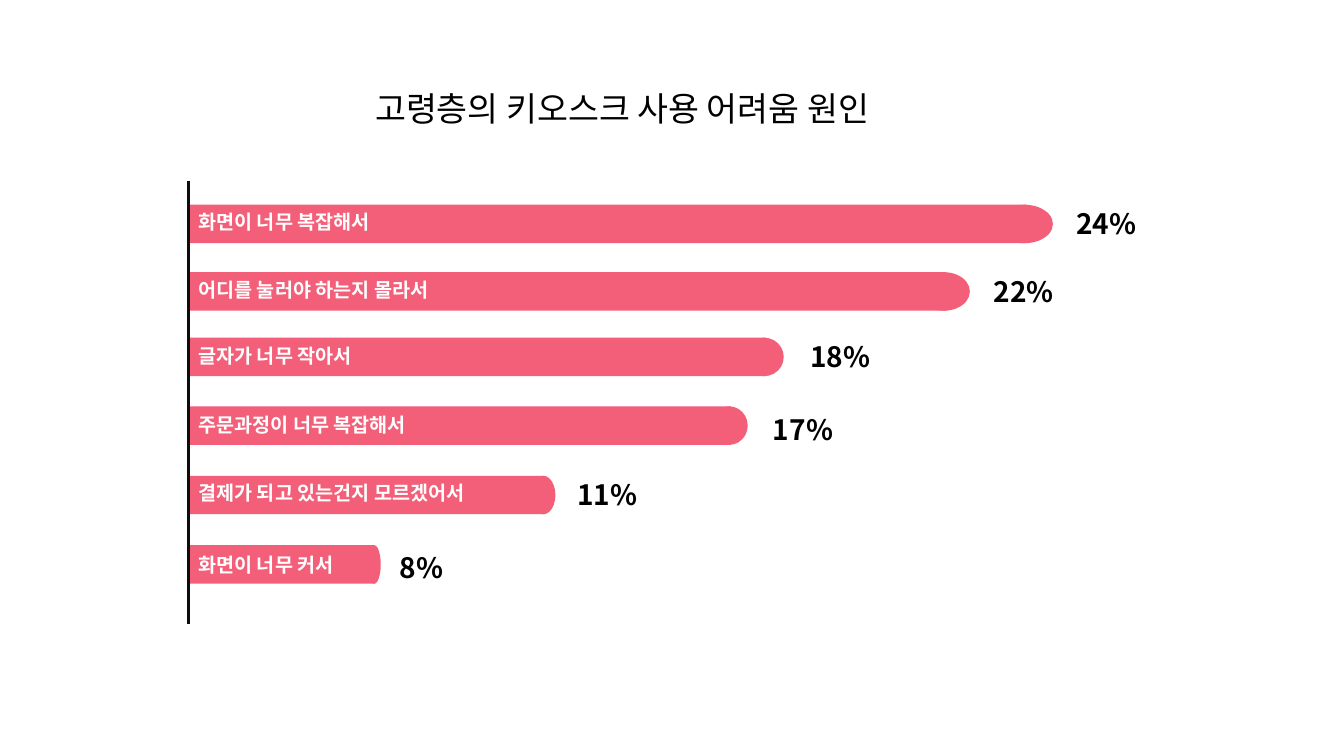
from lxml import etree
from pptx import Presentation
from pptx.dml.color import RGBColor
from pptx.enum import shapes, text
from pptx.oxml import ns
from pptx.util import Cm, Pt

FONT = "Noto Sans CJK KR"
AXIS_LEFT = 4.75
BAR_HEIGHT = 0.97
CAP_START, CAP_SHARE = 0.963, 0.068


def paint(color_format, value):
    color_format.rgb = RGBColor.from_string(value)


def write(holder, wording, size, color, bold=False):
    frame = holder.text_frame
    frame.text = wording
    frame.word_wrap = True
    frame.auto_size = text.MSO_AUTO_SIZE.NONE
    frame.vertical_anchor = text.MSO_ANCHOR.TOP
    frame.paragraphs[0].alignment = text.PP_ALIGN.LEFT
    frame.paragraphs[0].line_spacing = 1.0
    font = frame.paragraphs[0].runs[0].font
    font.name, font.size, font.bold = FONT, Pt(size), bold
    font.fill.solid()
    paint(font.fill.fore_color, color)
    etree.SubElement(font._element, ns.qn("a:ea"), typeface=FONT)


deck = Presentation()
deck.slide_width, deck.slide_height = Cm(33.87), Cm(19.05)
slide = deck.slides.add_slide(deck.slide_layouts[5])

headline = slide.shapes.title
headline.left, headline.top = Cm(9.2), Cm(2.08)
headline.width, headline.height = Cm(15.5), Cm(1.27)
write(headline, "고령층의 키오스크 사용 어려움 원인", 24, "000000")

# reason, share, bar top, bar length, reason top, share left, share top
reasons = [
    ("화면이 너무 복잡해서", "24%", 5.16, 21.13, 5.16, 26.87, 5.08),
    ("어디를 눌러야 하는지 몰라서", "22%", 6.86, 19.1, 6.88, 24.79, 6.78),
    ("글자가 너무 작아서", "18%", 8.51, 14.55, 8.53, 20.17, 8.43),
    ("주문과정이 너무 복잡해서", "17%", 10.24, 13.67, 10.29, 19.23, 10.26),
    ("결제가 되고 있는건지 모르겠어서", "11%", 11.99, 8.97, 11.99, 14.3, 11.91),
    ("화면이 너무 커서", "8%", 13.74, 4.7, 13.82, 9.83, 13.74),
]

for reason, share, bar_top, length, reason_top, share_left, share_top in reasons:
    bar = slide.shapes.add_group_shape()
    for outline, left, width in (
        (shapes.MSO_SHAPE.RECTANGLE, AXIS_LEFT, length),
        (shapes.MSO_SHAPE.OVAL, AXIS_LEFT + CAP_START * length, CAP_SHARE * length),
    ):
        part = bar.shapes.add_shape(outline, Cm(left), Cm(bar_top), Cm(width), Cm(BAR_HEIGHT))
        part.shadow.inherit = False
        part.fill.solid()
        paint(part.fill.fore_color, "F35F78")
        part.line.fill.background()
    reason_label = slide.shapes.add_textbox(Cm(AXIS_LEFT), Cm(reason_top), Cm(15.5), Cm(0.86))
    write(reason_label, reason, 14, "FFFFFF", True)
    share_label = slide.shapes.add_textbox(Cm(share_left), Cm(share_top), Cm(2.34), Cm(1.12))
    write(share_label, share, 20, "000000", True)

axis = slide.shapes.add_connector(
    shapes.MSO_CONNECTOR.STRAIGHT, Cm(AXIS_LEFT), Cm(4.55), Cm(AXIS_LEFT), Cm(15.72)
)
axis.line.width = Pt(2.25)
paint(axis.line.color, "0D0D0D")
etree.SubElement(axis._element.spPr, ns.qn("a:effectLst"))

deck.save("out.pptx")
